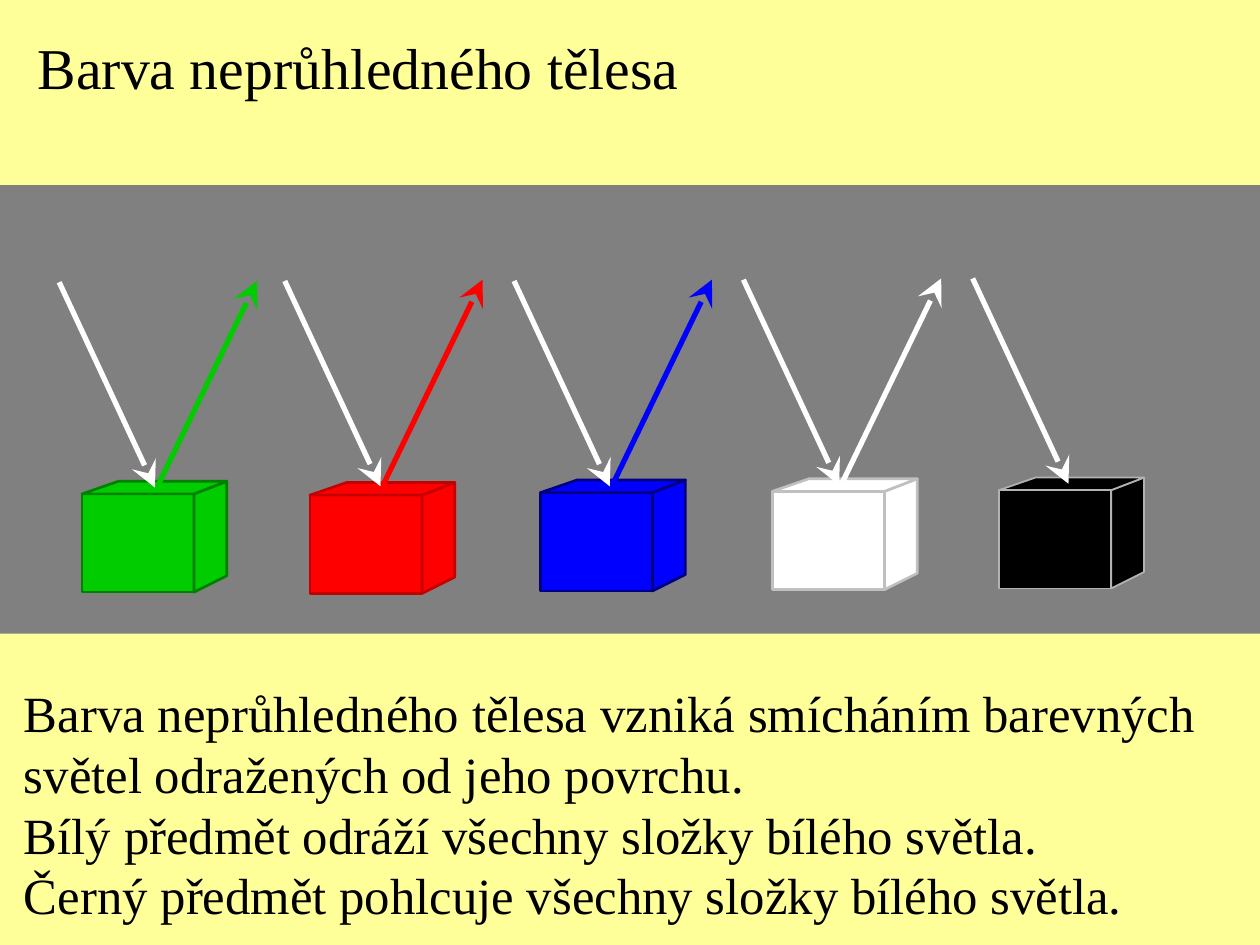
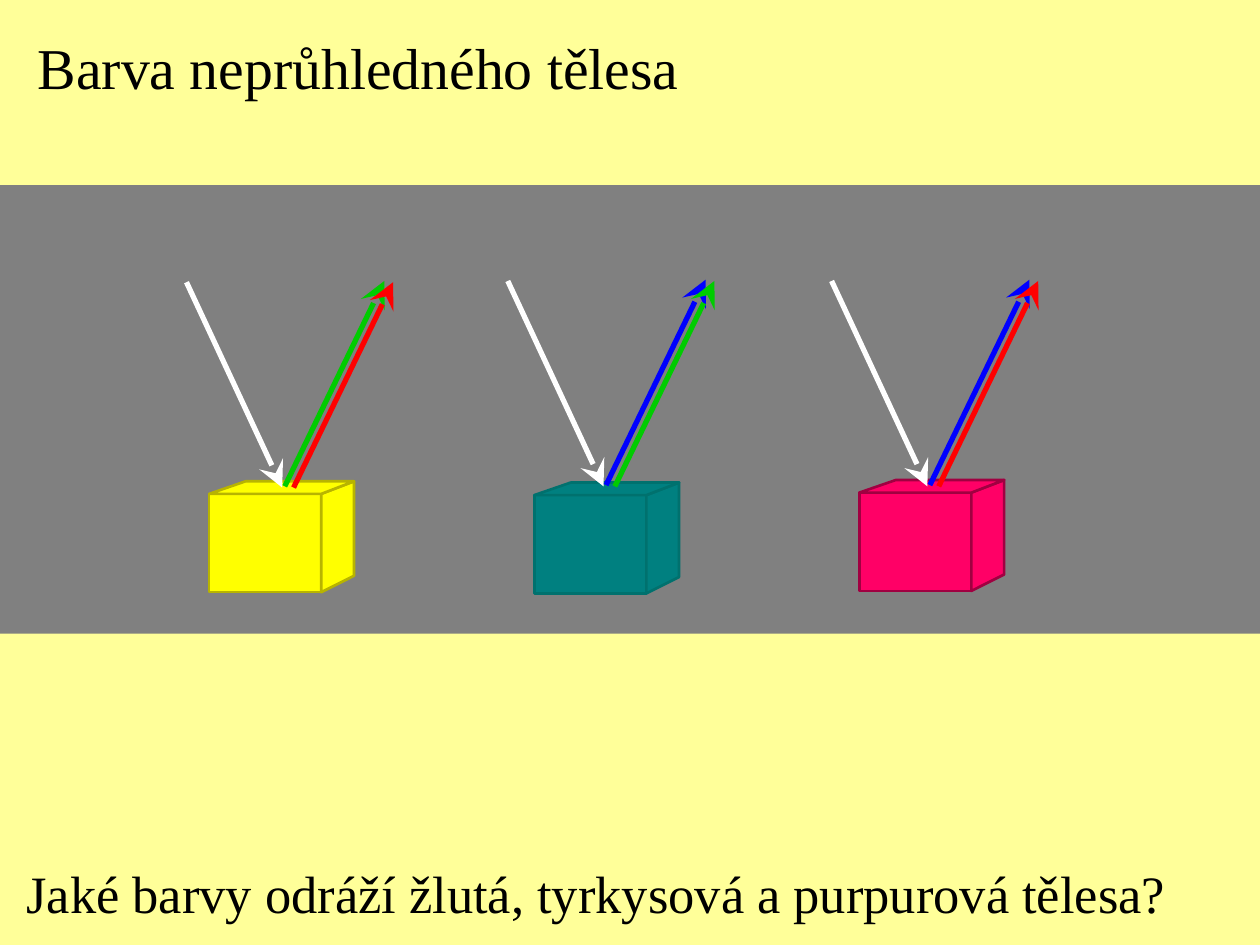
from collections import namedtuple

from lxml.etree import SubElement
from pptx import Presentation
from pptx.dml.color import RGBColor
from pptx.enum.shapes import MSO_CONNECTOR, MSO_SHAPE
from pptx.enum.text import MSO_ANCHOR, MSO_AUTO_SIZE, PP_ALIGN
from pptx.oxml.ns import qn
from pptx.util import Inches, Pt

COLORS = {
    "background": "FFFF99", "band": "808080", "text": "000000",
    "green": "00CC00", "green edge": "008000",
    "red": "FF0000", "red edge": "C40000",
    "blue": "0000FF", "blue edge": "000080",
    "white": "FFFFFF", "white edge": "C0C0C0",
    "black": "000000", "black edge": "B2B2B2",
    "yellow": "FFFF00", "yellow edge": "B8B400",
    "turquoise": "008080", "turquoise edge": "00716E",
    "purple": "FF0066", "purple edge": "A00041",
}
FONT = "Times New Roman"
HEADING = "Barva neprůhledného tělesa"

Box = namedtuple("Box", "left top width height")
# Cube and ray corners are measured from the top left of the band
Body = namedtuple("Body", "color cube ray reflected edge_width", defaults=[1.5])

HEADING_BOX = Box(0.2, 0.2, 5.29, 0.65)
BAND = Box(0, 1.47, 10, 3.56)

CUBE_WIDTH, CUBE_HEIGHT = 0.89, 0.78
DEPTH_X, DEPTH_Y = 0.26, 0.1

PLAIN_BODIES = [
    Body("green", (0.65, 2.45), (0.47, 0.77), ["green"]),
    Body("red", (2.46, 2.46), (2.26, 0.76), ["red"]),
    Body("blue", (4.29, 2.44), (4.08, 0.76), ["blue"]),
    Body("white", (6.13, 2.43), (5.9, 0.75), ["white"]),
    Body("black", (7.93, 2.42), (7.72, 0.74), [], 1),
]
MIXED_BODIES = [
    Body("yellow", (1.66, 2.45), (1.48, 0.77), ["green", "red"]),
    Body("turquoise", (4.24, 2.46), (4.03, 0.76), ["blue", "green"]),
    Body("purple", (6.82, 2.44), (6.6, 0.76), ["blue", "red"]),
]
EXPLANATION = [
    "Barva neprůhledného tělesa vzniká smícháním barevných",
    "světel odražených od jeho povrchu.",
    "Bílý předmět odráží všechny složky bílého světla.",
    "Černý předmět pohlcuje všechny složky bílého světla.",
]
QUESTION = ["Jaké barvy odráží žlutá, tyrkysová a purpurová tělesa?"]


def rgb(name):
    return RGBColor.from_string(COLORS[name])


def fill_text(placeholder, box, lines, size):
    """Move a placeholder to its box and write unbulleted lines."""
    placeholder.left, placeholder.top, placeholder.width, placeholder.height = map(Inches, box)
    frame = placeholder.text_frame
    frame.word_wrap = False
    # Leaves room for the longest line where wrapping cannot be switched off
    frame.margin_right = 0
    frame.auto_size = MSO_AUTO_SIZE.NONE
    frame.vertical_anchor = MSO_ANCHOR.TOP
    for number, line in enumerate(lines):
        paragraph = frame.paragraphs[0] if number == 0 else frame.add_paragraph()
        paragraph.alignment = PP_ALIGN.LEFT
        paragraph.space_before = Pt(0)
        paragraph.line_spacing = Pt(size * 1.2)
        properties = paragraph._p.get_or_add_pPr()
        properties.set("marL", "0")
        properties.set("indent", "0")
        SubElement(properties, qn("a:buNone"))
        run = paragraph.add_run()
        run.text = line
        run.font.name = FONT
        run.font.size = Pt(size)
        run.font.color.rgb = rgb("text")


def paint(shape, color, edge_width=0):
    shape.shadow.inherit = False
    shape.fill.solid()
    shape.fill.fore_color.rgb = rgb(color)
    if edge_width:
        shape.line.color.rgb = rgb(f"{color} edge")
        shape.line.width = Pt(edge_width)
    else:
        shape.line.fill.background()


def add_face(shapes, corners):
    points = [(Inches(x), Inches(y)) for x, y in corners]
    builder = shapes.build_freeform(*points[0])
    builder.add_line_segments(points[1:], close=True)
    return builder.convert_to_shape()


def add_cube(slide, left, top, color, edge_width):
    shapes = slide.shapes.add_group_shape().shapes
    right, bottom = left + CUBE_WIDTH, top + CUBE_HEIGHT
    back, back_top = right + DEPTH_X, top - DEPTH_Y
    front = shapes.add_shape(MSO_SHAPE.RECTANGLE, Inches(left), Inches(top),
                             Inches(CUBE_WIDTH), Inches(CUBE_HEIGHT))
    side = add_face(shapes, [(right, top), (right, bottom),
                             (back, bottom - 0.13), (back, back_top)])
    lid = add_face(shapes, [(left, top), (right, top),
                            (back, back_top), (left + 0.29, back_top)])
    for face in (front, side, lid):
        paint(face, color, edge_width)


def add_ray(slide, start, end, color):
    ray = slide.shapes.add_connector(MSO_CONNECTOR.STRAIGHT, *map(Inches, start + end))
    ray.line.color.rgb = rgb(color)
    ray.line.width = Pt(3)
    SubElement(ray.line._get_or_add_ln(), qn("a:tailEnd"),
               type="stealth", w="lg", len="lg")
    SubElement(ray._element.spPr, qn("a:effectLst"))


def add_band(slide, box, bodies):
    """Grey band with lit cubes, incoming white light and reflected light."""
    band = slide.shapes.add_shape(MSO_SHAPE.RECTANGLE, *map(Inches, box))
    paint(band, "band")
    for body in bodies:
        cube_x, cube_y = body.cube
        add_cube(slide, box.left + cube_x, box.top + cube_y, body.color, body.edge_width)
    for body in bodies:
        x, y = box.left + body.ray[0], box.top + body.ray[1]
        add_ray(slide, (x, y), (x + 0.76, y + 1.63), "white")
        # Parallel reflected rays, side by side
        for number, color in enumerate(body.reflected):
            shift_x, shift_y = 0.07 * number, 0.01 * number
            add_ray(slide, (x + 0.78 + shift_x, y + 1.62 + shift_y),
                    (x + 1.57 + shift_x, y - 0.01 + shift_y), color)


def add_light_slide(prs, bodies, lines, text_box, size):
    slide = prs.slides.add_slide(prs.slide_layouts[1])
    fill_text(slide.shapes.title, HEADING_BOX, [HEADING], 33)
    fill_text(slide.placeholders[1], text_box, lines, size)
    add_band(slide, BAND, bodies)


def main():
    prs = Presentation()
    prs.slide_width, prs.slide_height = Inches(10), Inches(7.5)
    background = prs.slide_master.background.fill
    background.solid()
    background.fore_color.rgb = rgb("background")

    add_light_slide(prs, PLAIN_BODIES, EXPLANATION, Box(0.09, 5.36, 9.5, 2.04), 29)
    add_light_slide(prs, MIXED_BODIES, QUESTION, Box(0.11, 6.78, 9.24, 0.6), 30)
    prs.save("out.pptx")


if __name__ == "__main__":
    main()
